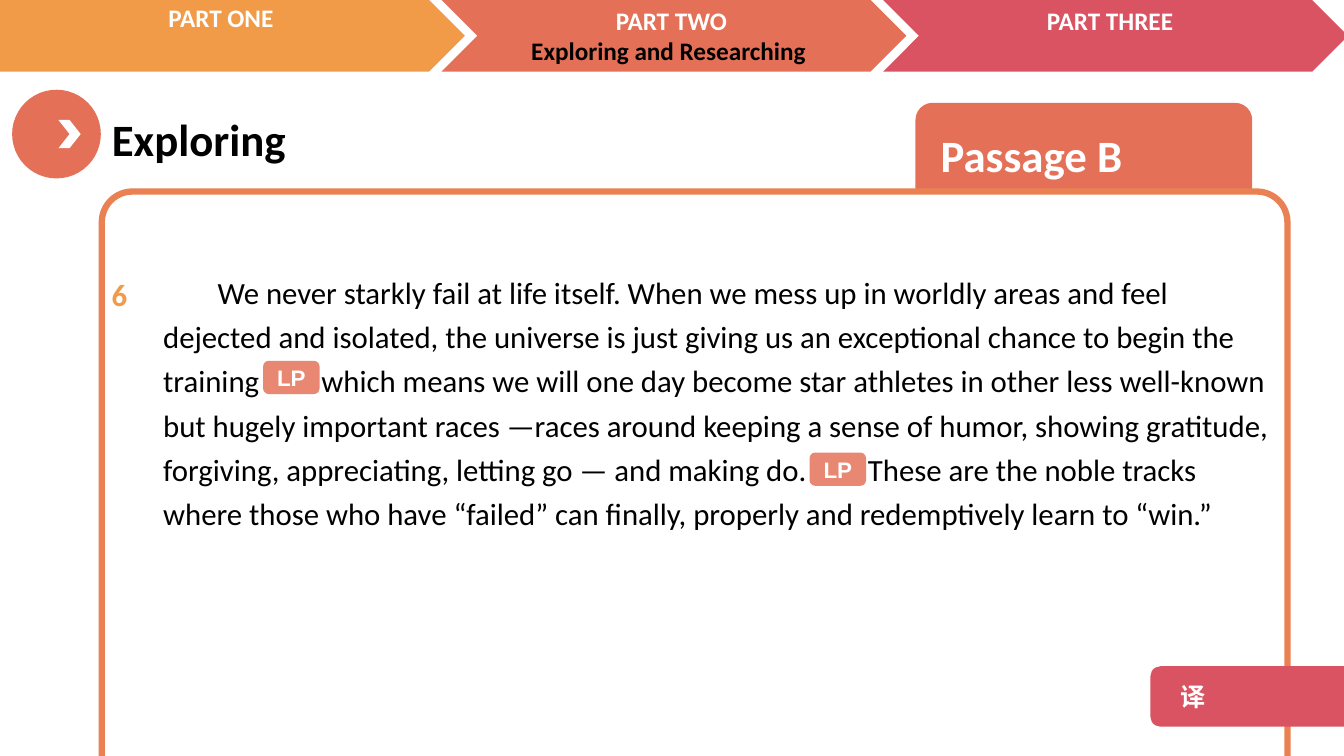
from dataclasses import dataclass

import pptx
import pptx.dml.color
import pptx.enum.shapes
import pptx.enum.text
import pptx.oxml
import pptx.oxml.ns
import pptx.util

Inches = pptx.util.Inches
Pt = pptx.util.Pt
RGBColor = pptx.dml.color.RGBColor
Preset = pptx.enum.shapes.MSO_SHAPE
Align = pptx.enum.text.PP_ALIGN
Anchor = pptx.enum.text.MSO_ANCHOR
qn = pptx.oxml.ns.qn

ORANGE = RGBColor(0xF1, 0x9B, 0x48)
CORAL = RGBColor(0xE4, 0x70, 0x57)
ROSE = RGBColor(0xDA, 0x53, 0x62)
BORDER = RGBColor(0xEA, 0x81, 0x52)
WHITE = RGBColor(0xFF, 0xFF, 0xFF)
BLACK = RGBColor(0, 0, 0)

PASSAGE = (
    "\tWe never starkly fail at life itself. When we mess up in worldly areas and feel "
    "dejected and isolated, the universe is just giving us an exceptional chance to begin "
    "the training\twhich means we will one day become star athletes in other less well-known "
    "but hugely important races —races around keeping a sense of humor, showing gratitude, "
    "forgiving, appreciating, letting go — and making do.\tThese are the noble tracks where "
    "those who have “failed” can finally, properly and redemptively learn to “win.”"
)
PASSAGE_STOPS = (0.54, 1.57, 6.99)


@dataclass(frozen=True)
class Box:
    left: float
    top: float
    width: float
    height: float

    def lengths(self) -> tuple:
        return tuple(Inches(v) for v in (self.left, self.top, self.width, self.height))


@dataclass(frozen=True)
class Part:
    arrow: Box
    color: RGBColor
    label: Box
    lines: tuple


PARTS = (
    Part(Box(4.38, 0, 4.61, 0.71), CORAL, Box(4.38, 0, 4.56, 0.71),
         (("PART TWO", WHITE), ("Exploring and Researching ", BLACK))),
    Part(Box(8.76, 0, 4.61, 0.71), ROSE, Box(8.73, 0, 4.56, 0.4), (("PART THREE", WHITE),)),
    Part(Box(-0.61, 0, 5.22, 0.71), ORANGE, Box(-0.06, -0.03, 4.56, 0.4),
         (("PART ONE ", WHITE),)),
)
BADGES = (Box(2.61, 3.58, 0.56, 0.33), Box(8.03, 4.49, 0.56, 0.33))


def write(frame, text: str, *, size: float, color: RGBColor, font: str = "Calibri",
          bold: bool = True, align=Align.LEFT, anchor=Anchor.TOP, spacing: float = 1.0,
          inset: float = 0.1, stops: tuple = (), append: bool = False) -> None:
    frame.word_wrap = True
    frame.auto_size = pptx.enum.text.MSO_AUTO_SIZE.NONE
    frame.vertical_anchor = anchor
    frame.margin_left, frame.margin_right = Inches(inset), Inches(0.1)
    frame.margin_top = frame.margin_bottom = Inches(0.05)
    paragraph = frame.add_paragraph() if append else frame.paragraphs[0]
    paragraph.alignment = align
    paragraph.line_spacing = spacing
    paragraph.space_before = Pt(0)
    if stops:
        properties = paragraph._p.get_or_add_pPr()
        tabs = properties.makeelement(qn("a:tabLst"), {})
        for stop in stops:
            tabs.append(tabs.makeelement(qn("a:tab"), {"pos": str(Inches(stop)), "algn": "l"}))
        properties.append(tabs)
    run = paragraph.add_run()
    run.text = text
    run.font.size = Pt(size)
    run.font.bold = bold
    run.font.color.rgb = color
    run.font.name = font
    latin = run._r.get_or_add_rPr().find(qn("a:latin"))
    latin.addnext(latin.makeelement(qn("a:ea"), {"typeface": font}))


def add_preset(slide, preset, box: Box, color: RGBColor, alpha: int = 100):
    shape = slide.shapes.add_shape(preset, *box.lengths())
    shape.shadow.inherit = False
    shape.fill.solid()
    shape.fill.fore_color.rgb = color
    shape.line.fill.background()
    if alpha < 100:
        tint = shape._element.spPr.find(qn("a:solidFill"))[0]
        tint.append(tint.makeelement(qn("a:alpha"), {"val": str(alpha * 1000)}))
    return shape


def add_text(slide, box: Box):
    return slide.shapes.add_textbox(*box.lengths()).text_frame


def add_header(slide) -> None:
    for part in PARTS:
        add_preset(slide, Preset.CHEVRON, part.arrow, part.color)
    for part in PARTS:
        label = add_text(slide, part.label)
        for index, (text, color) in enumerate(part.lines):
            write(label, text, size=18, color=color, align=Align.CENTER, append=index > 0)


def add_heading(slide) -> None:
    add_preset(slide, Preset.OVAL, Box(0.12, 0.89, 0.88, 0.88), CORAL)
    add_preset(slide, Preset.CHEVRON, Box(0.58, 1.19, 0.22, 0.28), WHITE)
    heading = slide.shapes.title
    heading.left, heading.top, heading.width, heading.height = Box(1.01, 1.06, 4.85, 0.64).lengths()
    write(heading.text_frame, "Exploring", size=32, color=BLACK)


def add_passage(slide) -> None:
    page = add_preset(slide, Preset.ROUNDED_RECTANGLE, Box(1.01, 1.9, 11.76, 6.45), WHITE)
    page.adjustments[0] = 0.047
    page.line.color.rgb = BORDER
    page.line.width = Pt(4.5)
    write(add_text(slide, Box(1.52, 2.59, 11.25, 2.74)), PASSAGE, size=22, color=BLACK,
          bold=False, spacing=1.2, stops=PASSAGE_STOPS)
    write(add_text(slide, Box(1.01, 2.61, 0.51, 0.6)), "6", size=22, color=ORANGE, spacing=1.2)


def main() -> None:
    deck = pptx.Presentation()
    deck.slide_width, deck.slide_height = Inches(13.33), Inches(7.5)
    slide = deck.slides.add_slide(deck.slide_layouts[5])

    passage_tab = add_preset(slide, Preset.ROUNDED_RECTANGLE, Box(9.08, 1.02, 3.34, 1.02), CORAL)
    write(passage_tab.text_frame, "Passage B", size=32, color=WHITE,
          anchor=Anchor.MIDDLE, inset=0.2)
    add_header(slide)
    add_heading(slide)
    add_passage(slide)
    translation = add_preset(slide, Preset.ROUNDED_RECTANGLE, Box(11.41, 6.61, 2.13, 0.6), ROSE)
    write(translation.text_frame, "译", size=18, color=WHITE, font="Noto Sans CJK SC",
          anchor=Anchor.MIDDLE, inset=0.27)
    for box in BADGES:
        badge = add_preset(slide, Preset.ROUNDED_RECTANGLE, box, CORAL, alpha=83)
        write(badge.text_frame, "LP", size=16, color=WHITE, font="Arial",
              align=Align.CENTER, anchor=Anchor.MIDDLE)

    deck.save("out.pptx")


if __name__ == "__main__":
    main()
